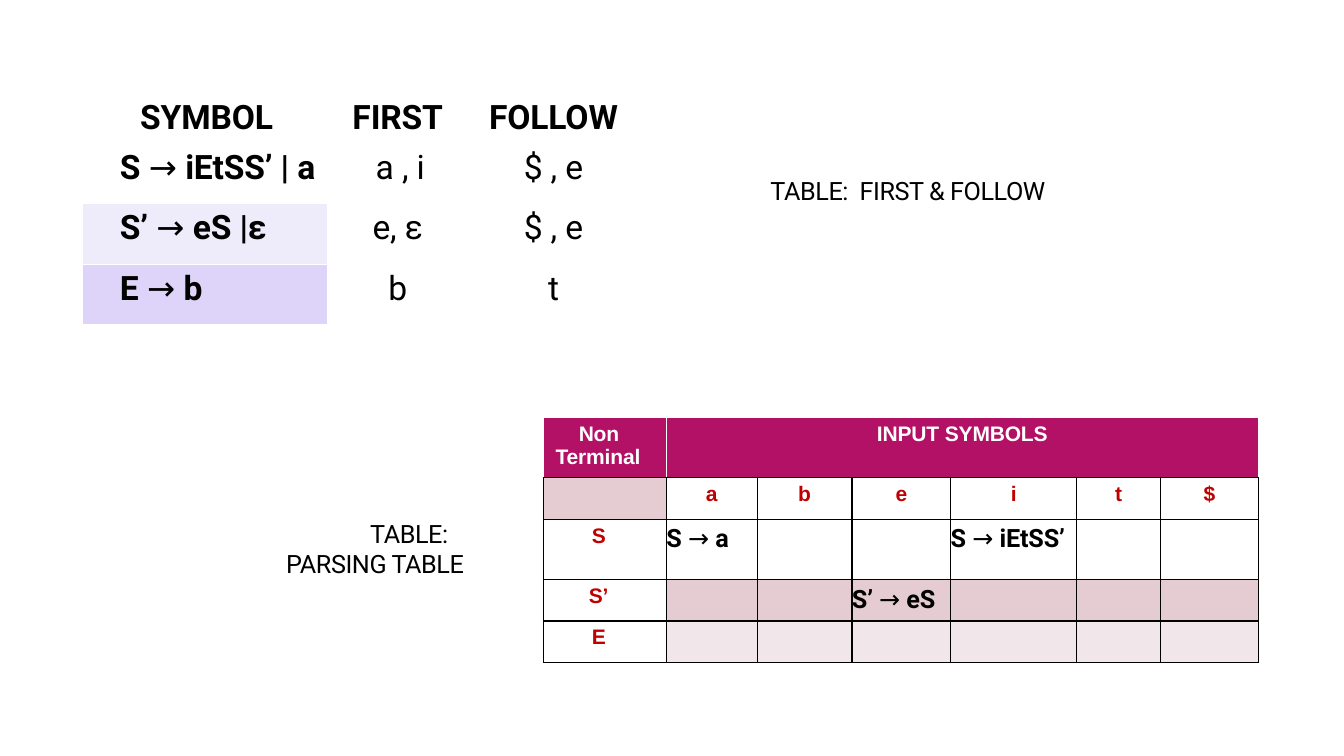
from lxml import etree
from pptx import Presentation
from pptx import util as u
from pptx.dml.color import RGBColor
from pptx.enum import text as t
from pptx.oxml import ns

PX = 9144
HUES = {"ink": "000000", "white": "FFFFFF", "red": "C00000", "plum": "B31166",
        "rose": "E4CCD2", "blush": "F1E7EA", "mist": "EEEBFB", "lilac": "DED3F9"}


def write(frame, words, size=24, font="Roboto", hue="ink", bold=False,
          mid=False, left=0, first=0, top=0, kern=-0.1, lead=None):
    """Fill a frame with one paragraph, keeping arrows in regular weight."""
    frame.margin_left = frame.margin_right = frame.margin_bottom = 0
    frame.margin_top = top * PX
    para = frame.paragraphs[0]
    props = para._p.get_or_add_pPr()
    props.set("marL", str(left * PX))
    props.set("indent", str(first * PX))
    para.alignment = t.PP_ALIGN.CENTER if mid else t.PP_ALIGN.LEFT
    if lead:
        para.line_spacing = lead
    head, arrow, tail = words.partition("→ ")
    for part in filter(None, (head, arrow, tail)):
        run = para.add_run()
        run.text = part
        face = run.font
        face.name, face.size = font, u.Pt(size)
        face.bold = bold and part != arrow
        face.color.rgb = RGBColor.from_string(HUES[hue])
        face._element.set("spc", str(round(kern * 100)))


def edge(cell, **sides):
    """Draw cell borders given as L, R, T, B = (hue, points)."""
    props = cell._tc.get_or_add_tcPr()
    for spot, side in enumerate("LRTB"):
        hue, wide = sides[side]
        line = etree.Element(ns.qn(f"a:ln{side}"), w=str(u.Pt(wide)))
        fill = etree.SubElement(line, ns.qn("a:solidFill"))
        etree.SubElement(fill, ns.qn("a:srgbClr"), val=HUES[hue])
        props.insert(spot, line)


class Deck:
    """Hold the presentation, its slide and the shared style."""

    def __init__(self, wide, high):
        self.show = Presentation()
        self.show.slide_width, self.show.slide_height = wide * PX, high * PX
        self.slide = self.show.slides.add_slide(self.show.slide_layouts[6])

    def label(self, words, box, **form):
        """Add a centred caption with a hanging offset."""
        frame = self.slide.shapes.add_textbox(*(n * PX for n in box)).text_frame
        frame.word_wrap = True
        frame.auto_size = t.MSO_AUTO_SIZE.SHAPE_TO_FIT_TEXT
        write(frame, words, size=18, mid=True, left=64, first=73, top=1,
              kern=-0.3, **form)
        return frame

    def grid(self, spot, cols, rows):
        """Add a plain table with the given column and row sizes."""
        box = [n * PX for n in (*spot, sum(cols), sum(rows))]
        table = self.slide.shapes.add_table(len(rows), len(cols), *box).table
        table.first_row = table.horz_banding = False
        for col, wide in zip(table.columns, cols):
            col.width = wide * PX
        for row, high in zip(table.rows, rows):
            row.height = high * PX
        return table

    def paint(self, cell, hue=None):
        """Fill a cell, or leave it clear."""
        if hue:
            cell.fill.solid()
            cell.fill.fore_color.rgb = RGBColor.from_string(HUES[hue])
        else:
            cell.fill.background()


def sets(deck):
    """Build the table of FIRST and FOLLOW sets."""
    data = [("SYMBOL", "FIRST", "FOLLOW"),
            ("S → iEtSS’ | a", "a , i", "$ , e"),
            ("S’ → eS |ε", "e, ε", "$ , e"),
            ("E → b", "b", "t")]
    tints = (None, None, "mist", "lilac")
    table = deck.grid((82, 92), (243, 139, 170), (47, 60, 60, 60))
    thin, thick = ("white", 1), ("white", 3)
    for r, row in enumerate(data):
        for c, words in enumerate(row):
            cell = table.cell(r, c)
            deck.paint(cell, None if c else tints[r])
            edge(cell, L=thin, R=thin, T=thick if r == 1 else thin,
                 B=thin if r else thick)
            inset = 7 if r == 0 else 17 if c else 5
            left = 0 if c else 27 if r else 47
            write(cell.text_frame, words, bold=r == 0 or c == 0, mid=c > 0,
                  left=5 if (r, c) == (1, 1) else left, top=inset)


def parse(deck):
    """Build the parsing table."""
    cols, rows = (122, 90, 94, 98, 125, 83, 97), (57, 41, 60, 41, 41)
    table = deck.grid((539, 414), cols, rows)
    tints = ("plum", None, None, "rose", "blush")
    thin, pale = ("ink", 1), ("white", 1)
    for r in range(len(rows)):
        for c in range(len(cols)):
            cell = table.cell(r, c)
            hue = tints[r] if c or r == 0 else "rose" if r == 1 else None
            deck.paint(cell, hue)
            side = thin if r else pale
            edge(cell, L=side, R=side, T=side, B=thin)
            cell.margin_left = cell.margin_right = 0
    table.cell(0, 1).merge(table.cell(0, 6))
    sans = {"size": 15, "font": "Arial", "bold": True}
    write(table.cell(0, 0).text_frame, "Non  Terminal", hue="white", left=12,
          first=23, top=3, **sans)
    write(table.cell(0, 1).text_frame, "INPUT SYMBOLS", hue="white", mid=True,
          top=15, **sans)
    for c, sign in enumerate("abeit$", 1):
        write(table.cell(1, c).text_frame, sign, hue="red", mid=True, top=7,
              **sans)
    for r, (sign, left, top) in enumerate(
            (("S", 48, 10), ("S’", 45, 7), ("E", 48, 7)), 2):
        write(table.cell(r, 0).text_frame, sign, hue="red", left=left, top=top,
              **sans)
    for r, c, rule in ((2, 1, "S → a"), (2, 4, "S → iEtSS’"), (3, 3, "S’ → eS")):
        write(table.cell(r, c).text_frame, rule, size=18, bold=True)


def main():
    """Build and save the slide."""
    deck = Deck(1333, 750)
    deck.label("TABLE:  PARSING TABLE", (209, 513, 262, 62))
    title = deck.label("TABLE:  FIRST & FOLLOW", (606, 174, 452, 32), lead=0.9)
    title.vertical_anchor = t.MSO_ANCHOR.MIDDLE
    sets(deck)
    parse(deck)
    deck.show.save("out.pptx")


if __name__ == "__main__":
    main()
